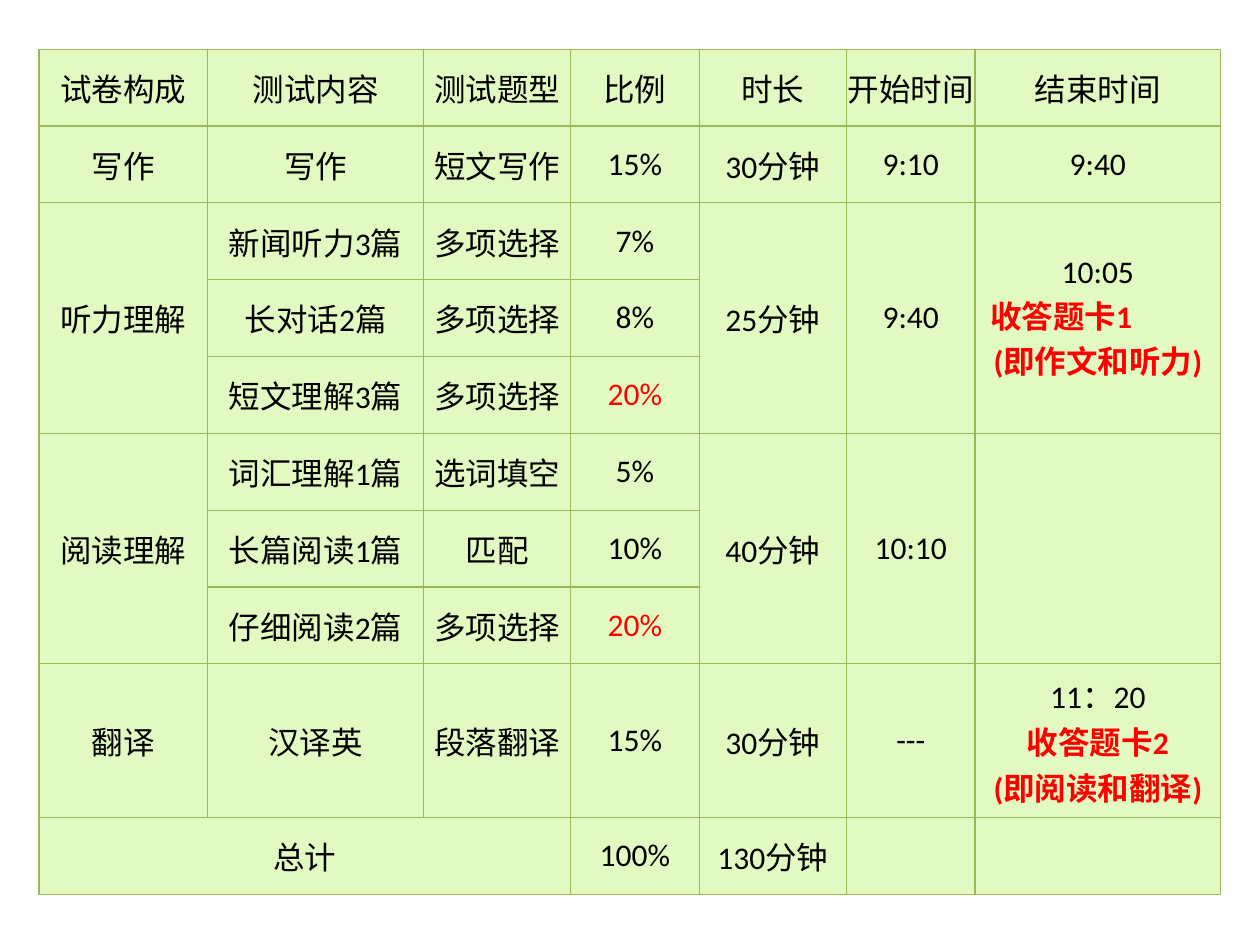
"""Build a slide with the exam structure and timetable as one table."""
from dataclasses import dataclass

from lxml.etree import SubElement
from pptx import Presentation
from pptx.dml.color import RGBColor
from pptx.enum.text import MSO_ANCHOR, PP_ALIGN
from pptx.oxml.ns import qn
from pptx.table import _Cell as TableCell
from pptx.util import Inches, Pt

BLACK = RGBColor(0x00, 0x00, 0x00)
RED = RGBColor(0xFF, 0x00, 0x00)
LIGHT_GREEN = RGBColor(0xE2, 0xFA, 0xC2)
BORDER_GREEN = RGBColor(0x98, 0xB9, 0x55)
FONT = "Calibri"


@dataclass(frozen=True)
class Line:
    text: str
    color: RGBColor = BLACK
    bold: bool = False
    indent: float = 0


@dataclass(frozen=True)
class Span:
    row: int
    col: int
    rows: int = 1
    cols: int = 1


COL_WIDTHS = [1.34, 1.71, 1.17, 1.02, 1.17, 1.02, 1.95]
ROW_HEIGHTS = [0.61] * 8 + [1.22, 0.61]

LISTENING_END = [
    Line("10:05"),
    Line("收答题卡1", RED, True, indent=0.12),
    Line("(即作文和听力)", RED, True),
]
TRANSLATION_END = [
    Line("11：20"),
    Line("收答题卡2", RED, True),
    Line("(即阅读和翻译)", RED, True),
]
RED_SHARE = [Line("20%", RED)]

ROWS = [
    ["试卷构成", "测试内容", "测试题型", "比例", "时长", "开始时间", "结束时间"],
    ["写作", "写作", "短文写作", "15%", "30分钟", "9:10", "9:40"],
    ["听力理解", "新闻听力3篇", "多项选择", "7%", "25分钟", "9:40", LISTENING_END],
    ["", "长对话2篇", "多项选择", "8%", "", "", ""],
    ["", "短文理解3篇", "多项选择", RED_SHARE, "", "", ""],
    ["阅读理解", "词汇理解1篇", "选词填空", "5%", "40分钟", "10:10", ""],
    ["", "长篇阅读1篇", "匹配", "10%", "", "", ""],
    ["", "仔细阅读2篇", "多项选择", RED_SHARE, "", "", ""],
    ["翻译", "汉译英", "段落翻译", "15%", "30分钟", "---", TRANSLATION_END],
    ["总计", "", "", "100%", "130分钟", "", ""],
]

SPANS = [Span(row, col, rows=3) for row in (2, 5) for col in (0, 4, 5, 6)]
SPANS.append(Span(9, 0, cols=3))


def style_cell(cell: TableCell) -> None:
    cell.margin_left = cell.margin_right = 0
    cell.margin_top = cell.margin_bottom = 0
    cell.vertical_anchor = MSO_ANCHOR.MIDDLE
    tc_pr = cell._tc.get_or_add_tcPr()
    for side in ("a:lnL", "a:lnR", "a:lnT", "a:lnB"):
        ln = SubElement(tc_pr, qn(side), w=str(Pt(0.75)))
        fill = SubElement(ln, qn("a:solidFill"))
        SubElement(fill, qn("a:srgbClr"), val=str(BORDER_GREEN))
    cell.fill.solid()
    cell.fill.fore_color.rgb = LIGHT_GREEN


def write_lines(cell: TableCell, lines: list[Line]) -> None:
    tf = cell.text_frame
    for i, line in enumerate(lines):
        p = tf.add_paragraph() if i else tf.paragraphs[0]
        p.alignment = PP_ALIGN.CENTER
        if line.indent:
            p.alignment = PP_ALIGN.LEFT
            p._p.get_or_add_pPr().set("marL", str(Inches(line.indent)))
        r = p.add_run()
        r.text = line.text
        r.font.name = FONT
        r.font.size = Pt(18)
        r.font.bold = line.bold
        r.font.color.rgb = line.color


def main() -> None:
    prs = Presentation()
    prs.slide_width, prs.slide_height = Inches(10), Inches(7.5)
    s = prs.slides.add_slide(prs.slide_layouts[6])
    table = s.shapes.add_table(
        len(ROWS), len(COL_WIDTHS), Inches(0.31), Inches(0.39),
        Inches(sum(COL_WIDTHS)), Inches(sum(ROW_HEIGHTS)),
    ).table
    table.first_row = table.horz_banding = False
    for column, width in zip(table.columns, COL_WIDTHS):
        column.width = Inches(width)
    for row, height in zip(table.rows, ROW_HEIGHTS):
        row.height = Inches(height)
    for i, row in enumerate(ROWS):
        for j, content in enumerate(row):
            cell = table.cell(i, j)
            style_cell(cell)
            if content:
                write_lines(cell, [Line(content)] if isinstance(content, str) else content)
    for span in SPANS:
        last = table.cell(span.row + span.rows - 1, span.col + span.cols - 1)
        table.cell(span.row, span.col).merge(last)
    prs.save("out.pptx")


main()
